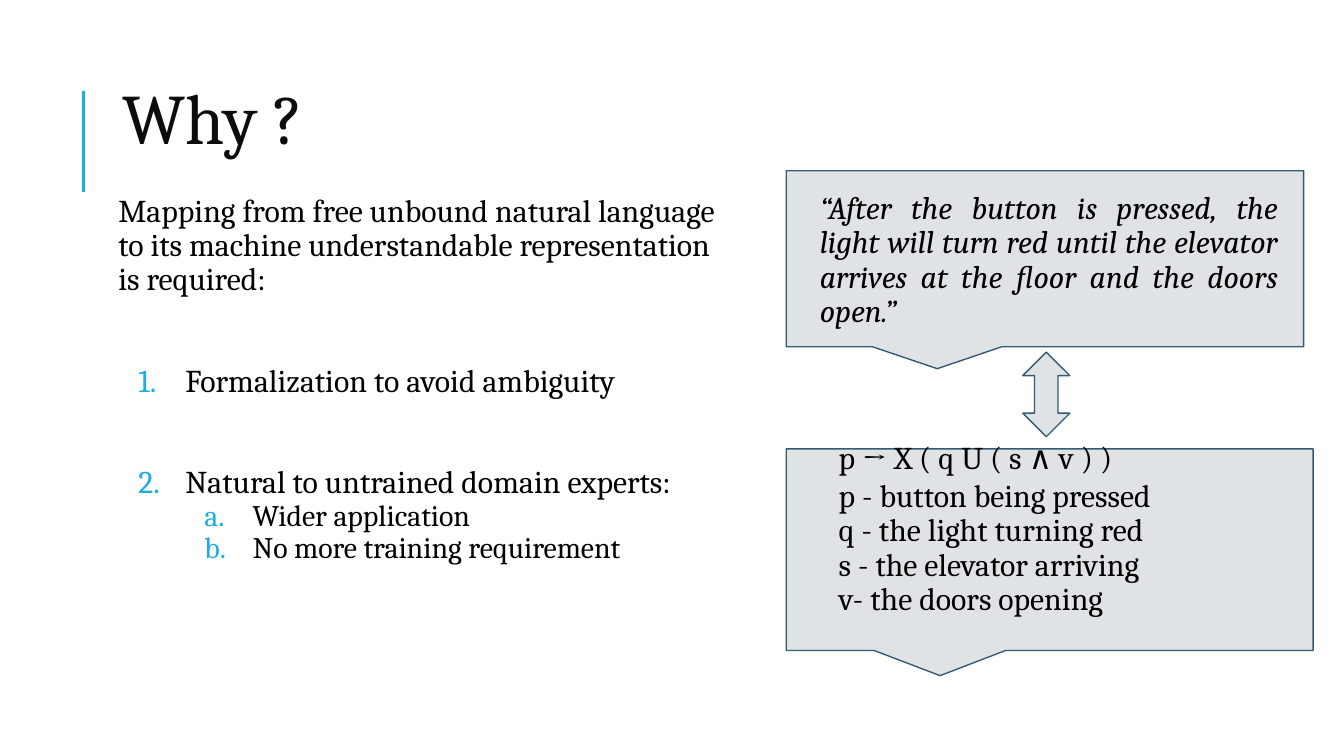
from lxml import etree
from pptx import Presentation
from pptx.dml.color import RGBColor
from pptx.enum.shapes import MSO_CONNECTOR, MSO_SHAPE
from pptx.enum.text import MSO_ANCHOR, PP_ALIGN
from pptx.oxml.ns import qn
from pptx.util import Inches, Pt

ACCENT = RGBColor(0x1C, 0xAD, 0xE4)
PANEL = RGBColor(0xDF, 0xE3, 0xE5)
OUTLINE = RGBColor(0x33, 0x5B, 0x74)
INK = RGBColor(0x0C, 0x0C, 0x0C)
BLACK = RGBColor(0, 0, 0)
FONT = "Cambria"
STRAIGHT = MSO_CONNECTOR.STRAIGHT
CALLOUT = MSO_SHAPE.ROUNDED_RECTANGULAR_CALLOUT
UP_DOWN_ARROW = MSO_SHAPE.UP_DOWN_ARROW
TOP, MIDDLE = MSO_ANCHOR.TOP, MSO_ANCHOR.MIDDLE
LEFT, JUSTIFY = PP_ALIGN.LEFT, PP_ALIGN.JUSTIFY


def add_panel(page, kind, box, adjustments):
    panel = page.shapes.add_shape(kind, *map(Inches, box))
    for index, value in enumerate(adjustments):
        panel.adjustments[index] = value
    panel.shadow.inherit = False
    panel.fill.solid()
    panel.fill.fore_color.rgb = PANEL
    panel.line.color.rgb = OUTLINE
    panel.line.width = Pt(0.75)


def add_text_frame(page, box, side=0.04, anchor=TOP):
    frame = page.shapes.add_textbox(*map(Inches, box)).text_frame
    frame.word_wrap = True
    frame.vertical_anchor = anchor
    frame.margin_left = frame.margin_right = Inches(side)
    frame.margin_top = frame.margin_bottom = Inches(0.04)
    return frame


def style_paragraph(para, size=17, color=BLACK, spacing=0.9, before=0,
                    align=LEFT, italic=False):
    para.alignment = align
    para.line_spacing = spacing
    para.space_before = Pt(before)
    for span in para.runs:
        span.font.name = FONT
        span.font.size = Pt(size)
        span.font.color.rgb = color
        span.font.italic = italic


def number_paragraph(para, scheme, margin, hanging):
    properties = para._p.get_or_add_pPr()
    properties.set("marL", str(Inches(margin)))
    properties.set("indent", str(-Inches(hanging)))
    bullet_color = etree.SubElement(properties, qn("a:buClr"))
    etree.SubElement(bullet_color, qn("a:srgbClr"), val=str(ACCENT))
    etree.SubElement(properties, qn("a:buFont"), typeface=FONT)
    etree.SubElement(properties, qn("a:buAutoNum"), type=scheme)


def add_title(page, box):
    left, top, width, height = box
    rule_left, rule_top = left - 0.22, top + 0.37
    rule = page.shapes.add_connector(STRAIGHT, *map(Inches, (
        rule_left, rule_top + 0.75, rule_left, rule_top)))
    rule.line.color.rgb = ACCENT
    rule.line.width = Pt(1.5)
    etree.SubElement(rule._element.spPr, qn("a:effectLst"))
    frame = add_text_frame(page, box, side=0.07, anchor=MIDDLE)
    frame.text = "Why ?"
    style_paragraph(frame.paragraphs[0], 38, INK, spacing=0.8)


def add_reasons(page, box):
    frame = add_text_frame(page, box)
    frame.text = ("Mapping from free unbound natural language to its machine "
                  "understandable representation is required:")
    style_paragraph(frame.paragraphs[0], before=9)
    reasons = [
        ("Formalization to avoid ambiguity", []),
        ("Natural to untrained domain experts:",
         ["Wider application", "No more training requirement"]),
    ]
    for reason, details in reasons:
        para = frame.add_paragraph()
        para.text = reason
        style_paragraph(para, before=36)
        number_paragraph(para, "arabicPeriod", 0.5, 0.35)
        for detail in details:
            para = frame.add_paragraph()
            para.text = detail
            para.level = 1
            style_paragraph(para, 16)
            number_paragraph(para, "alphaLcPeriod", 1, 0.36)


def add_requirement(page, box):
    left, top, width, height = box
    add_panel(page, CALLOUT, box, (-0.208, 0.625, 0))
    frame = add_text_frame(page, (left + 0.21, top + 0.12, width - 0.36, height - 0.23))
    frame.text = ("“After the button is pressed, the light will turn red until "
                  "the elevator arrives at the floor and the doors open.”")
    style_paragraph(frame.paragraphs[0], before=9, align=JUSTIFY, italic=True)


def add_formula(page, box):
    left, top, width, height = box
    add_panel(page, CALLOUT, box, (-0.208, 0.625, 0))
    frame = add_text_frame(page, (left + 0.35, top - 0.09, width - 0.57, height + 0.51))
    lines = [
        ("p → X ( q U ( s ∧ v ) )", 9),
        ("p - button being pressed", 2),
        ("q - the light turning red", 0),
        ("s - the elevator arriving", 0),
        ("v- the doors opening", 0),
    ]
    frame.text = "\n".join(text for text, before in lines)
    for para, (text, before) in zip(frame.paragraphs, lines):
        style_paragraph(para, before=before)


def main():
    deck = Presentation()
    deck.slide_width = Inches(10)
    deck.slide_height = deck.slide_width * 9 // 16
    page = deck.slides.add_slide(deck.slide_layouts[6])
    add_title(page, (0.84, 0.31, 4.87, 1.23))
    add_reasons(page, (0.84, 1.41, 4.6, 2.99))
    add_requirement(page, (5.85, 1.27, 3.85, 1.31))
    add_formula(page, (5.85, 3.34, 3.92, 1.5))
    add_panel(page, UP_DOWN_ARROW, (7.61, 2.62, 0.35, 0.63), (0.5, 0.5))
    deck.save("out.pptx")


if __name__ == "__main__":
    main()
